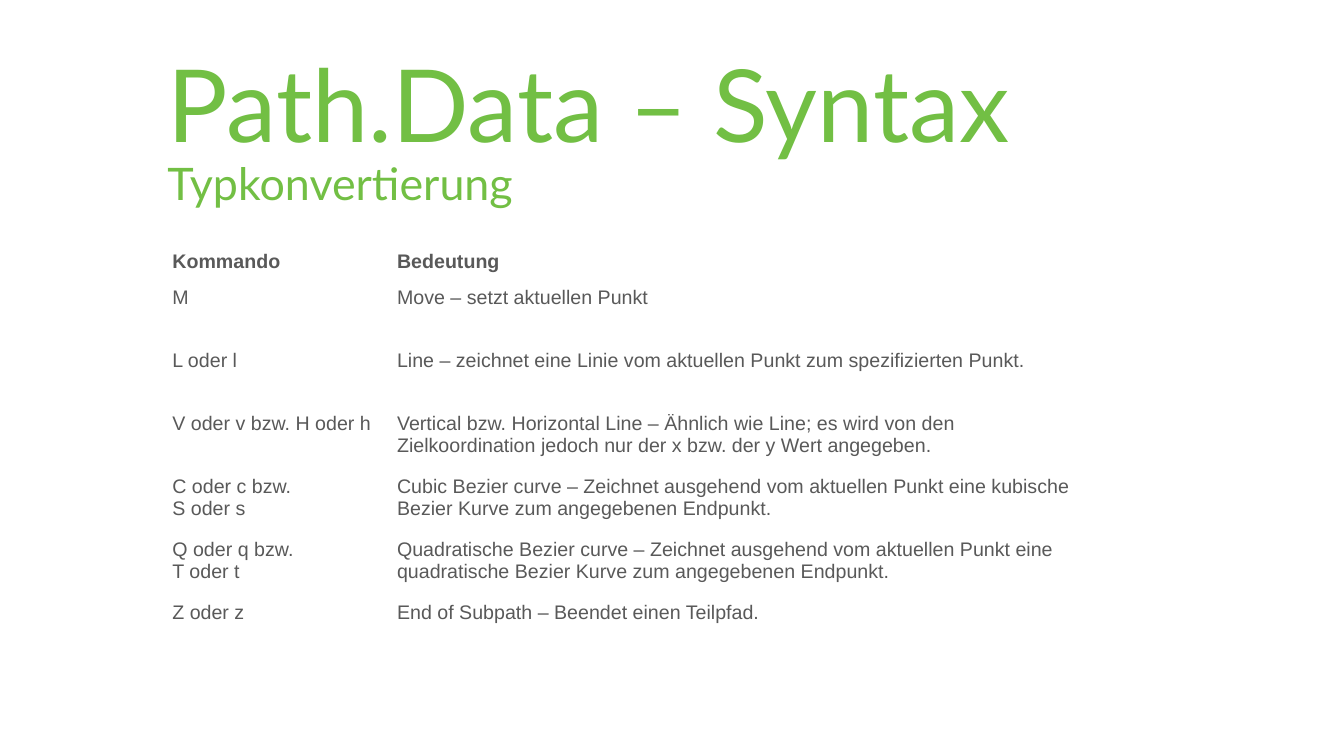
import pptx
import pptx.dml.color
import pptx.enum.text
import pptx.util
from lxml import etree

Pt = pptx.util.Pt
GREEN = "72BF44"
GRAY = "595959"
COLUMN_WIDTHS = [160.5, 489]
HEADER_HEIGHT = 26
ROW_HEIGHT = 45
ROWS = [
    ("Kommando", "Bedeutung"),
    ("M", "Move – setzt aktuellen Punkt"),
    ("L oder l", "Line – zeichnet eine Linie vom aktuellen Punkt zum spezifizierten Punkt."),
    ("V oder v bzw. H oder h",
     "Vertical bzw. Horizontal Line – Ähnlich wie Line; es wird von den "
     "Zielkoordination jedoch nur der x bzw. der y Wert angegeben."),
    ("C oder c bzw.\nS oder s",
     "Cubic Bezier curve – Zeichnet ausgehend vom aktuellen Punkt eine kubische "
     "Bezier Kurve zum angegebenen Endpunkt."),
    ("Q oder q bzw.\nT oder t",
     "Quadratische Bezier curve – Zeichnet ausgehend vom aktuellen Punkt eine "
     "quadratische Bezier Kurve zum angegebenen Endpunkt."),
    ("Z oder z", "End of Subpath – Beendet einen Teilpfad."),
]


def set_font(para, name, size, color, bold=False):
    font = para.font
    font.name = name
    font.size = Pt(size)
    font.bold = bold
    font.color.rgb = pptx.dml.color.RGBColor.from_string(color)


def set_margins(target, side):
    target.margin_left = target.margin_right = Pt(side)
    target.margin_top = target.margin_bottom = Pt(0)


def fill_placeholder(box, text, bounds, size, anchor):
    """Move a placeholder and give it one left-aligned line without a bullet."""
    box.left, box.top, box.width, box.height = map(Pt, bounds)
    frame = box.text_frame
    frame.auto_size = pptx.enum.text.MSO_AUTO_SIZE.NONE
    frame.word_wrap = True
    frame.vertical_anchor = anchor
    set_margins(frame, 0)
    para = frame.paragraphs[0]
    para.text = text
    para.alignment = pptx.enum.text.PP_ALIGN.LEFT
    para.space_before = Pt(0)
    set_font(para, "Lato", size, GREEN)
    properties = para._p.get_or_add_pPr()
    properties.set("marL", "0")
    properties.set("indent", "0")
    bullet = etree.Element(pptx.oxml.ns.qn("a:buNone"))
    properties.find(pptx.oxml.ns.qn("a:defRPr")).addprevious(bullet)


def fill_cell(cell, text, bold):
    cell.fill.background()
    set_margins(cell, 3.6)
    para = cell.text_frame.paragraphs[0]
    para.text = text
    para.space_before = para.space_after = Pt(3)
    set_font(para, "Arial", 14, GRAY, bold)


def add_command_table(page, left, top):
    heights = [HEADER_HEIGHT] + [ROW_HEIGHT] * (len(ROWS) - 1)
    table = page.shapes.add_table(
        len(ROWS), len(COLUMN_WIDTHS), Pt(left), Pt(top),
        Pt(sum(COLUMN_WIDTHS)), Pt(sum(heights))).table
    table.first_row = False
    table.horz_banding = False
    for column, width in zip(table.columns, COLUMN_WIDTHS):
        column.width = Pt(width)
    for index, (row, height) in enumerate(zip(table.rows, heights)):
        row.height = Pt(height)
        for cell, text in zip(row.cells, ROWS[index]):
            fill_cell(cell, text, bold=index == 0)


def main():
    deck = pptx.Presentation()
    deck.slide_width = Pt(960)
    deck.slide_height = Pt(540)
    page = deck.slides.add_slide(deck.slide_layouts[1])
    anchors = pptx.enum.text.MSO_ANCHOR
    fill_placeholder(page.shapes.title, "Path.Data – Syntax",
                     (120, 37.5, 813.5, 71.5), 72, anchors.MIDDLE)
    fill_placeholder(page.placeholders[1], "Typkonvertierung",
                     (119.5, 111.5, 813.5, 34.5), 32, anchors.TOP)
    add_command_table(page, 119.5, 179)
    deck.save("out.pptx")


if __name__ == "__main__":
    main()
